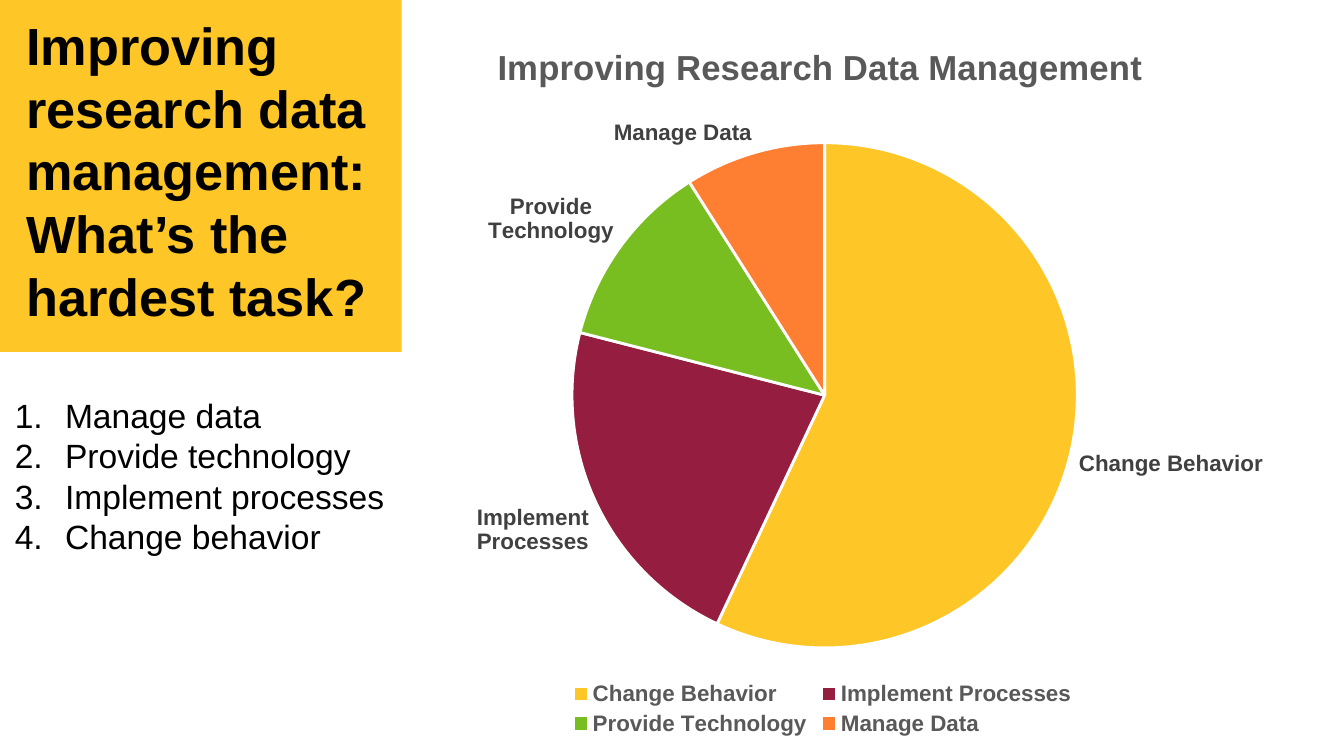
from lxml import etree
from pptx import Presentation
from pptx.chart.data import CategoryChartData
from pptx.dml.color import RGBColor
from pptx.enum.chart import XL_CHART_TYPE, XL_LABEL_POSITION, XL_LEGEND_POSITION
from pptx.enum.text import MSO_ANCHOR, MSO_AUTO_SIZE, PP_ALIGN
from pptx.oxml.ns import qn
from pptx.util import Cm, Pt

COLORS = {
    "gold": "FFC627", "maroon": "951D40", "green": "78BE20", "orange": "FF7F32",
    "black": "000000", "white": "FFFFFF", "gray": "595959", "dark_gray": "404040",
}
QUESTION = "Improving research data management: What’s the hardest task?"
ANSWERS = ["Manage data", "Provide technology", "Implement processes", "Change behavior"]
CHART_TITLE = "Improving Research Data Management"
VOTES = [
    ("Change Behavior", 57, "gold"),
    ("Implement Processes", 22, "maroon"),
    ("Provide Technology", 12, "green"),
    ("Manage Data", 9, "orange"),
]

# left, top, width, height in centimetres
QUESTION_BOX = (0, 0, 7.59, 6.65)
ANSWERS_BOX = (0.03, 7.34, 7.57, 3.33)
CHART_BOX = (5.41, 0.3, 20.19, 13.72)
PIE_BOX = (10.81, 2.7, 9.55, 9.55)
LEGEND_BOX = (10.7, 12.8, 9.7, 1.2)
ANSWER_INDENT = Cm(0.95)
LINE_SPACING = 1.2  # times the font size

FORMATS = {
    "question": {"size": Pt(28), "bold": True, "color": "black"},
    "answer": {"size": Pt(18), "bold": False, "color": "black"},
    "chart_title": {"size": Pt(18.6), "bold": True, "color": "gray"},
    "legend": {"size": Pt(12), "bold": True, "color": "gray"},
    "label": {"size": Pt(12), "bold": True, "color": "dark_gray"},
}


def rgb(name):
    return RGBColor.from_string(COLORS[name])


def cm_box(box):
    return [Cm(length) for length in box]


def format_font(font, role):
    font.name = "Arial"
    for attribute, value in FORMATS[role].items():
        if attribute == "color":
            font.color.rgb = rgb(value)
        else:
            setattr(font, attribute, value)


def format_paragraph(paragraph, role):
    paragraph.alignment = PP_ALIGN.LEFT
    paragraph.line_spacing = Pt(FORMATS[role]["size"].pt * LINE_SPACING)
    paragraph.space_before = paragraph.space_after = Pt(0)
    for run in paragraph.runs:
        format_font(run.font, role)


def number_paragraph(paragraph):
    properties = paragraph._p.get_or_add_pPr()
    properties.set("marL", str(ANSWER_INDENT))
    properties.set("indent", str(-ANSWER_INDENT))
    etree.SubElement(properties, qn("a:buFont"), typeface="+mj-lt")
    etree.SubElement(properties, qn("a:buAutoNum"), type="arabicPeriod")


def place_in_chart(parent, box, following, inner=False):
    """Give a chart part a fixed place, inserted before its following sibling."""
    for old in parent.findall(qn("c:layout")):
        parent.remove(old)
    layout = etree.Element(qn("c:layout"))
    manual = etree.SubElement(layout, qn("c:manualLayout"))
    if inner:
        etree.SubElement(manual, qn("c:layoutTarget"), val="inner")
    for axis in "xy":
        etree.SubElement(manual, qn(f"c:{axis}Mode"), val="edge")
    left, top, width, height = CHART_BOX
    fractions = {
        "x": (box[0] - left) / width, "y": (box[1] - top) / height,
        "w": box[2] / width, "h": box[3] / height,
    }
    for key, fraction in fractions.items():
        etree.SubElement(manual, qn(f"c:{key}"), val=f"{fraction:.4f}")
    parent.find(qn(following)).addprevious(layout)


def add_question(slide):
    question = slide.shapes.title
    question.left, question.top, question.width, question.height = cm_box(QUESTION_BOX)
    question.fill.solid()
    question.fill.fore_color.rgb = rgb("gold")
    frame = question.text_frame
    frame.text = QUESTION
    settings = {
        "margin_left": Cm(0.5), "margin_right": Cm(0.25),
        "margin_top": Cm(0.25), "margin_bottom": Cm(0.25),
        "vertical_anchor": MSO_ANCHOR.TOP, "word_wrap": True,
        "auto_size": MSO_AUTO_SIZE.NONE,
    }
    for attribute, value in settings.items():
        setattr(frame, attribute, value)
    format_paragraph(frame.paragraphs[0], "question")


def add_votes_chart(slide):
    data = CategoryChartData(number_format="0")
    data.categories = [name for name, _, _ in VOTES]
    data.add_series(CHART_TITLE, [share for _, share, _ in VOTES])
    chart = slide.shapes.add_chart(XL_CHART_TYPE.PIE, *cm_box(CHART_BOX), data).chart
    format_font(chart.font, "legend")

    chart.has_title = True
    chart.chart_title.include_in_layout = False
    heading = chart.chart_title.text_frame
    heading.text = CHART_TITLE
    format_font(heading.paragraphs[0].runs[0].font, "chart_title")

    chart.has_legend = True
    legend = chart.legend
    legend.position = XL_LEGEND_POSITION.BOTTOM
    legend.include_in_layout = False
    format_font(legend.font, "legend")

    plot = chart.plots[0]
    plot.vary_by_categories = True
    for index, (_, _, color) in enumerate(VOTES):
        slice_format = plot.series[0].points[index].format
        slice_format.fill.solid()
        slice_format.fill.fore_color.rgb = rgb(color)
        slice_format.line.color.rgb = rgb("white")
        slice_format.line.width = Pt(1.5)

    labels = plot.series[0].data_labels
    settings = {
        "show_category_name": True, "show_value": False, "show_percentage": False,
        "number_format": "0%", "number_format_is_linked": False,
        "position": XL_LABEL_POSITION.OUTSIDE_END,
    }
    for attribute, value in settings.items():
        setattr(labels, attribute, value)
    format_font(labels.font, "label")

    plot_area = chart._chartSpace.chart.plotArea
    place_in_chart(plot_area, PIE_BOX, "c:pieChart", inner=True)
    place_in_chart(legend._element, LEGEND_BOX, "c:overlay")


def add_answers(slide):
    frame = slide.shapes.add_textbox(*cm_box(ANSWERS_BOX)).text_frame
    frame.word_wrap = False
    frame.auto_size = MSO_AUTO_SIZE.SHAPE_TO_FIT_TEXT
    for index, answer in enumerate(ANSWERS):
        paragraph = frame.add_paragraph() if index else frame.paragraphs[0]
        paragraph.text = answer
        number_paragraph(paragraph)
        format_paragraph(paragraph, "answer")


def main():
    presentation = Presentation()
    presentation.slide_width, presentation.slide_height = Cm(25.4), Cm(14.29)
    slide = presentation.slides.add_slide(presentation.slide_layouts[5])
    add_question(slide)
    add_votes_chart(slide)
    add_answers(slide)
    presentation.save("out.pptx")


if __name__ == "__main__":
    main()
